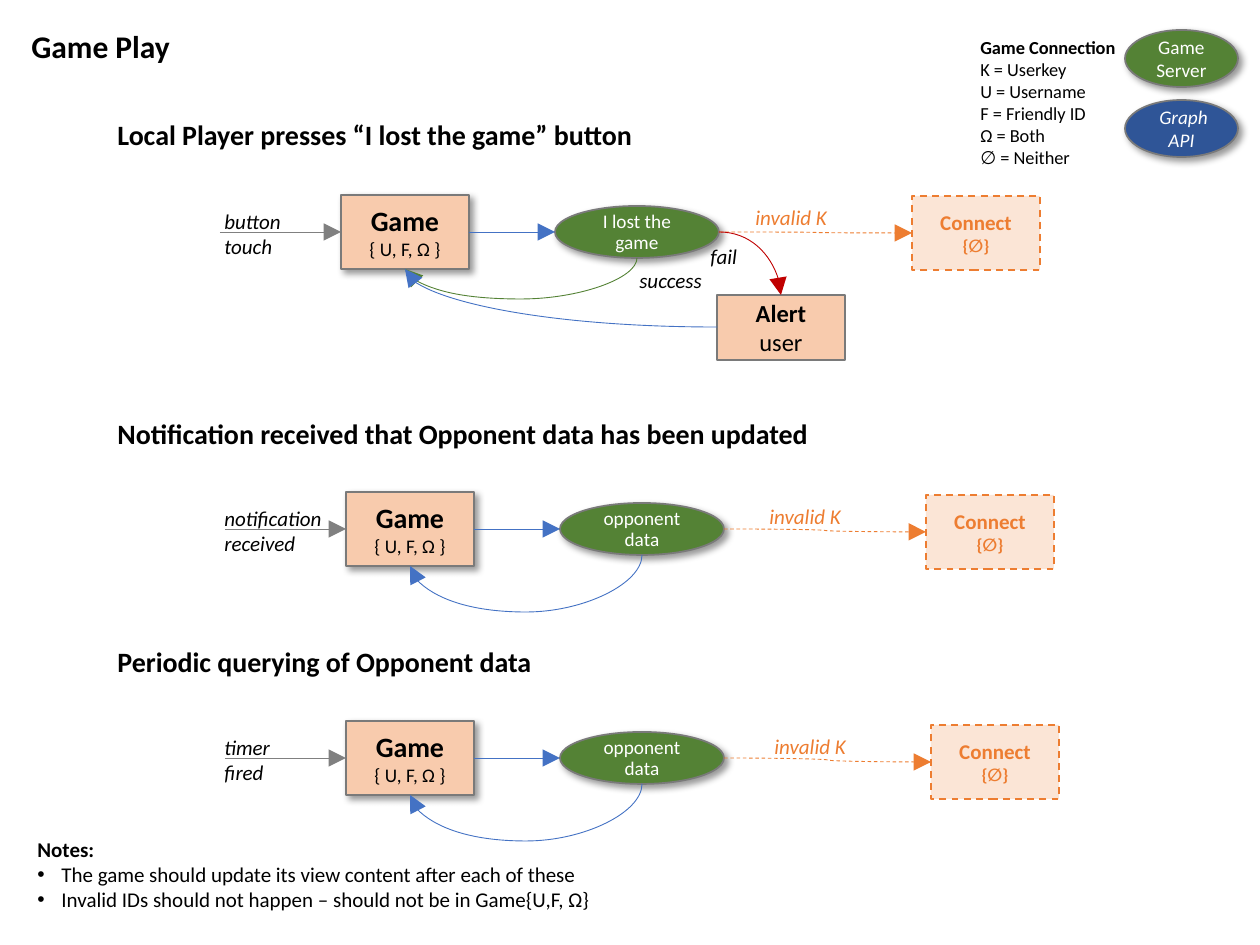
from dataclasses import dataclass, field

from lxml import etree
from pptx import Presentation
from pptx.dml.color import RGBColor
from pptx.enum.dml import MSO_LINE
from pptx.enum.shapes import MSO_CONNECTOR, MSO_SHAPE
from pptx.enum.text import MSO_ANCHOR, MSO_AUTO_SIZE, PP_ALIGN
from pptx.oxml.ns import qn
from pptx.util import Pt

ELLIPSE, RECTANGLE = MSO_SHAPE.OVAL, MSO_SHAPE.RECTANGLE
STRAIGHT, CURVE = MSO_CONNECTOR.STRAIGHT, MSO_CONNECTOR.CURVE
DASH = MSO_LINE.DASH
MIDDLE, CENTER, LEFT = MSO_ANCHOR.MIDDLE, PP_ALIGN.CENTER, PP_ALIGN.LEFT
FIT_TEXT = MSO_AUTO_SIZE.SHAPE_TO_FIT_TEXT
EMU_PER_PX = 914400 / 126


@dataclass(frozen=True)
class Theme:
    """Font, colours and type styles of the slide."""
    font: str = "Calibri"
    ink: str = "000000"
    white: str = "FFFFFF"
    server: str = "548235"
    api: str = "2F5597"
    outline: str = "7A7A7A"
    trigger: str = "808080"
    request: str = "4472C4"
    screen: str = "F8CBAD"
    invalid: str = "ED7D31"
    invalid_screen: str = "FBE5D6"
    failure: str = "C00000"
    styles: dict = field(default_factory=lambda: {
        "title": dict(size=Pt(18), bold=True),
        "heading": dict(size=Pt(16), bold=True),
        "alert": dict(size=Pt(14), bold=True),
        "alert body": dict(size=Pt(14), bold=False),
        "strong": dict(size=Pt(12), bold=True),
        "body": dict(size=Pt(12), bold=False),
        "label": dict(size=Pt(12), italic=True),
        "node": dict(size=Pt(11)),
        "node italic": dict(size=Pt(11), italic=True),
        "legend title": dict(size=Pt(10.5), bold=True),
        "legend": dict(size=Pt(10.5), bold=False),
        "state": dict(size=Pt(10), bold=True),
    })


THEME = Theme()


def px(*lengths):
    """Turn pixel lengths into EMU."""
    return [round(length * EMU_PER_PX) for length in lengths]


def write(frame, lines, color, align=LEFT, spacing=None):
    """Fill a text frame with (text, style) lines and return its paragraphs."""
    for index, (text, style) in enumerate(lines):
        paragraph = frame.paragraphs[0] if index == 0 else frame.add_paragraph()
        paragraph.alignment = align
        if spacing:
            paragraph.line_spacing = spacing
        run = paragraph.add_run()
        run.text = text
        for name, value in {"name": THEME.font, **THEME.styles[style]}.items():
            setattr(run.font, name, value)
        run.font.color.rgb = RGBColor.from_string(color)
    return frame.paragraphs


def add_text(slide, box, lines, color=THEME.ink, wrap=False):
    """Add a text box that grows with its lines."""
    frame = slide.shapes.add_textbox(*px(*box)).text_frame
    for name, value in {"word_wrap": wrap, "auto_size": FIT_TEXT}.items():
        setattr(frame, name, value)
    return write(frame, lines, color)


def add_shadow(shape):
    """Give a shape a soft shadow to the lower right."""
    effects = shape._element.spPr.find(qn("a:effectLst"))
    shadow = etree.SubElement(effects, qn("a:outerShdw"), blurRad=str(Pt(4)),
                              dist=str(Pt(3)), dir="2700000", algn="tl", rotWithShape="0")
    black = etree.SubElement(shadow, qn("a:srgbClr"), val=THEME.ink)
    etree.SubElement(black, qn("a:alpha"), val="40000")


def add_node(slide, kind, box, fill, lines, color=THEME.ink, line=THEME.outline,
             shadow=False, dash=None, spacing=None):
    """Add a filled, outlined shape with centred text."""
    node = slide.shapes.add_shape(kind, *px(*box))
    node.shadow.inherit = False
    node.fill.solid()
    node.fill.fore_color.rgb = RGBColor.from_string(fill)
    node.line.color.rgb = RGBColor.from_string(line)
    for name, value in {"width": Pt(1), "dash_style": dash}.items():
        setattr(node.line, name, value)
    if shadow:
        add_shadow(node)
    node.text_frame.word_wrap = True
    node.text_frame.vertical_anchor = MIDDLE
    write(node.text_frame, lines, color, CENTER, spacing)
    return node


def add_arrow(slide, start, end, color, kind=STRAIGHT, dash=None):
    """Add a thin connector with a large triangle at its end."""
    arrow = slide.shapes.add_connector(kind, *px(*start, *end))
    arrow.line.color.rgb = RGBColor.from_string(color)
    for name, value in {"width": Pt(0.5), "dash_style": dash}.items():
        setattr(arrow.line, name, value)
    etree.SubElement(arrow.line._get_or_add_ln(), qn("a:tailEnd"),
                     type="triangle", w="lg", len="lg")
    etree.SubElement(arrow._element.spPr, qn("a:effectLst"))
    return arrow


def add_quarter_curve(slide, start, end, color, turned=False):
    """Add a quarter bend, turned half round when it runs up to the left."""
    first, last = (end, start) if turned else (start, end)
    curve = add_arrow(slide, first, last, color, CURVE)
    curve._element.spPr.prstGeom.set("prst", "curvedConnector2")
    if turned:
        curve.rotation = 180
        curve._element.spPr.xfrm.set("rot", "10800000")


def add_return_loop(slide, start, end, depth, color):
    """Add a bend that dips by depth below its start and returns to the left."""
    width, height = start[0] - end[0], end[1] - start[1]
    middle_x, middle_y = (start[0] + end[0]) / 2, (start[1] + end[1]) / 2
    loop = add_arrow(slide, (middle_x - height / 2, middle_y - width / 2),
                     (middle_x + height / 2, middle_y + width / 2), color, CURVE)
    loop._element.spPr.xfrm.set("rot", "5400000")
    guides = loop._element.spPr.prstGeom.get_or_add_avLst()
    etree.SubElement(guides, qn("a:gd"), name="adj1",
                     fmla=f"val {round(100000 * depth / height)}")


def add_legend(slide, left, top):
    """Add the key of connection letters and node colours."""
    keys = ["K = Userkey", "U = Username", "F = Friendly ID", "Ω = Both", "∅ = Neither"]
    add_text(slide, (left, top, 163, 146),
             [("Game Connection", "legend title")] + [(key, "legend") for key in keys])
    services = [(THEME.server, "node", ("Game", "Server")),
                (THEME.api, "node italic", (" Graph", "API"))]
    for index, (fill, style, words) in enumerate(services):
        add_node(slide, ELLIPSE, (left + 157, top + 70 * index, 113, 57), fill,
                 [(word, style) for word in words], THEME.white, shadow=True)


def add_flow(slide, left, top, trigger, request, connect, loop):
    """Add one flow from trigger to game, server request and reconnection."""
    axis = top + 37
    game = add_node(slide, RECTANGLE, (left, top, 128, 74), THEME.screen,
                    [("Game", "heading"), ("{ U, F, Ω }", "node")], shadow=True)
    add_node(slide, ELLIPSE, (left + 214, top + 11, 164, 52), THEME.server,
             [(line, "node") for line in request], THEME.white, shadow=True, spacing=Pt(12))
    add_arrow(slide, (left - 121, axis), (left, axis), THEME.trigger).end_connect(game, 1)
    add_arrow(slide, (left + 128, axis), (left + 214, axis), THEME.request).begin_connect(game, 3)
    add_text(slide, (212, top + 7, 135, 63), [(line, "label") for line in trigger], wrap=True)
    depth, loop_color = loop
    add_return_loop(slide, (left + 296, top + 63), (left + 64, top + 74), depth, loop_color)

    connect_left, connect_top = left + connect[0], top + connect[1]
    add_arrow(slide, (left + 378, axis), (connect_left, connect_top + 37),
              THEME.invalid, CURVE, DASH)
    add_text(slide, (connect_left - 169, connect_top + 2, 97, 38),
             [("invalid K", "label")], THEME.invalid)
    add_node(slide, RECTANGLE, (connect_left, connect_top, 128, 74), THEME.invalid_screen,
             [("Connect", "strong"), ("{∅}", "state")], THEME.invalid, THEME.invalid, dash=DASH)


def add_alert(slide, left, top):
    """Add the failure branch of the flow whose game box starts at left, top."""
    add_node(slide, RECTANGLE, (left + 376, top + 100, 128, 65), THEME.screen,
             [("Alert", "alert"), ("user", "alert body")])
    for word, across, down in [("success", 286, 66), ("fail", 357, 42)]:
        add_text(slide, (left + across, top + down, 89, 38), [(word, "label")], wrap=True)
    add_quarter_curve(slide, (left + 376, top + 132), (left + 64, top + 74), THEME.request, True)
    add_quarter_curve(slide, (left + 378, top + 37), (left + 440, top + 100), THEME.failure)


def add_notes(slide, left, top):
    """Add the heading and bulleted remarks at the foot."""
    remarks = ["The game should update its view content after each of these",
               "Invalid IDs should not happen – should not be in Game{U,F, Ω}"]
    paragraphs = add_text(slide, (left, top, 583, 90),
                          [("Notes:", "strong")] + [(remark, "body") for remark in remarks])
    indent, = px(24)
    for paragraph in paragraphs[1:]:
        properties = paragraph._p.get_or_add_pPr()
        for name, value in {"marL": indent, "indent": -indent}.items():
            properties.set(name, str(value))
        etree.SubElement(properties, qn("a:buFont"), typeface="Arial")
        etree.SubElement(properties, qn("a:buChar"), char="•")


def main():
    """Build the slide and save it."""
    deck = Presentation()
    deck.slide_width, deck.slide_height = px(1260, 945)
    slide = deck.slides.add_slide(deck.slide_layouts[6])
    add_text(slide, (19, 21, 165, 50), [("Game Play", "title")])
    add_legend(slide, 968, 30)
    headings = [("Local Player presses “I lost the game” button", 111, 548),
                ("Notification received that Opponent data has been updated", 410, 726),
                ("Periodic querying of Opponent data", 638, 446)]
    for heading, top, width in headings:
        add_text(slide, (105, top, width, 47), [(heading, "heading")])
    opponent, refresh = ("opponent", "data"), (57, THEME.request)
    add_flow(slide, 341, 195, ("button", "touch"), ("I lost the game",),
             (571, 1), (41, THEME.server))
    add_alert(slide, 341, 195)
    add_flow(slide, 346, 492, ("notification", "received"), opponent, (580, 3), refresh)
    add_flow(slide, 346, 721, ("timer", "fired"), opponent, (585, 4), refresh)
    add_notes(slide, 25, 830)
    deck.save("out.pptx")


if __name__ == "__main__":
    main()
